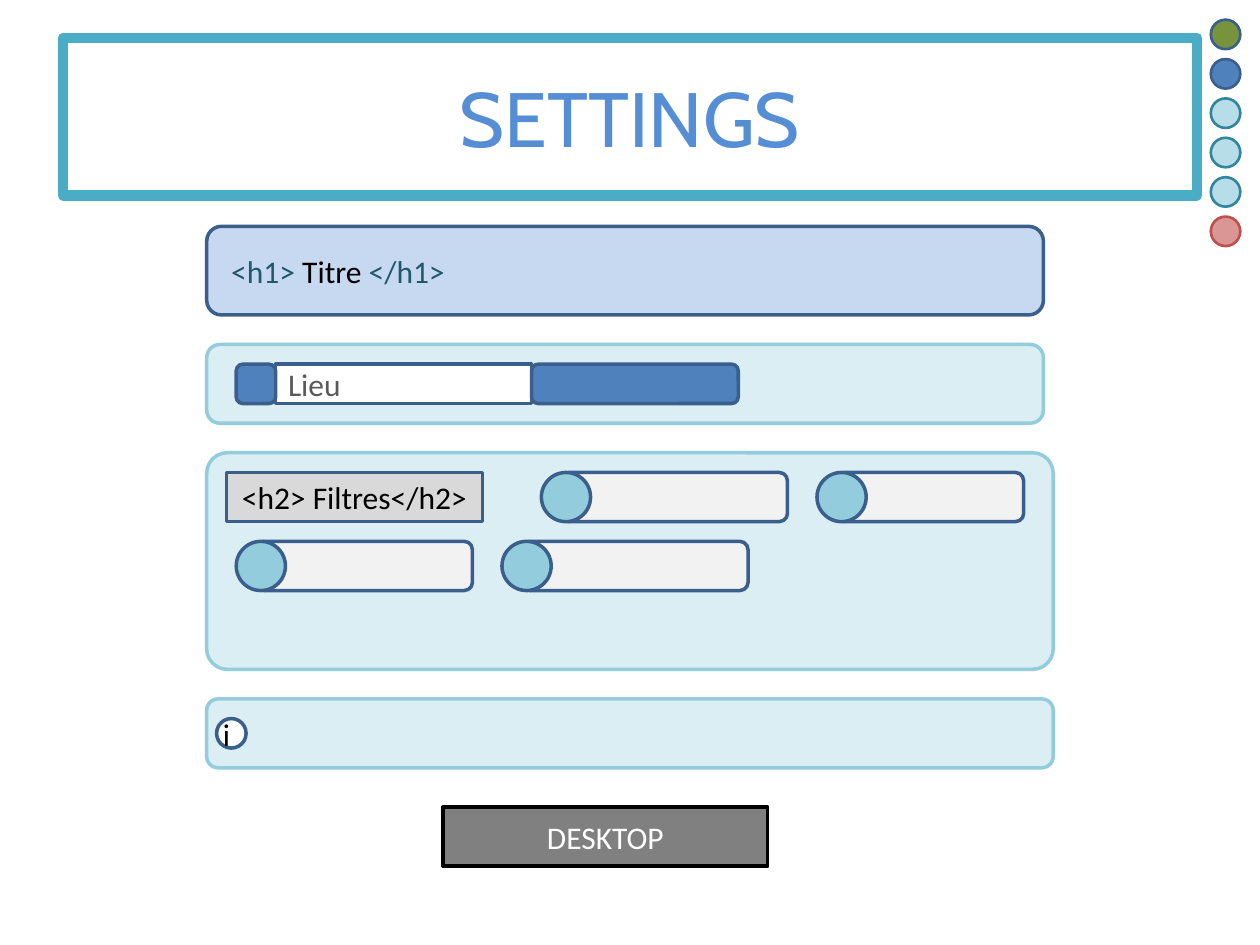
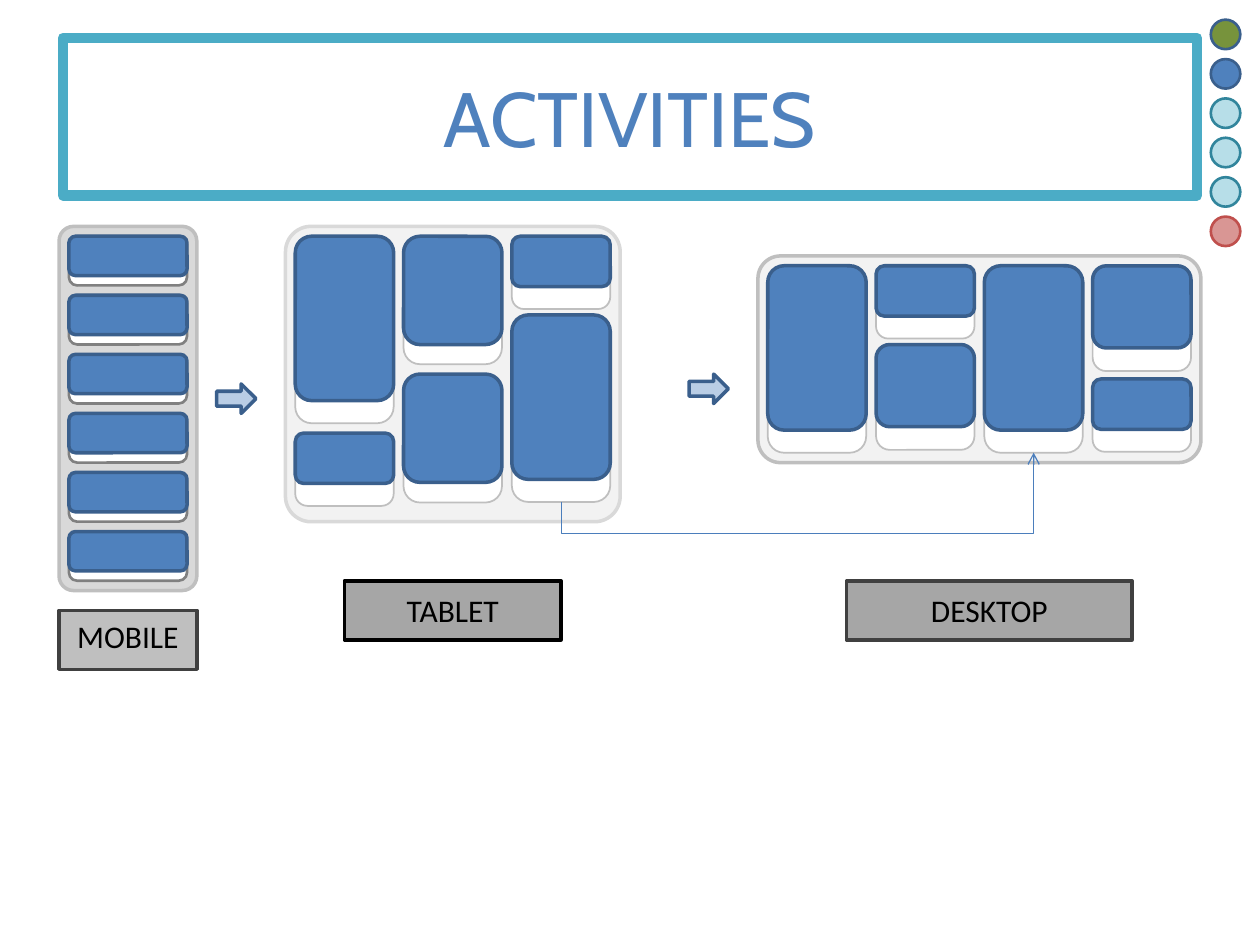
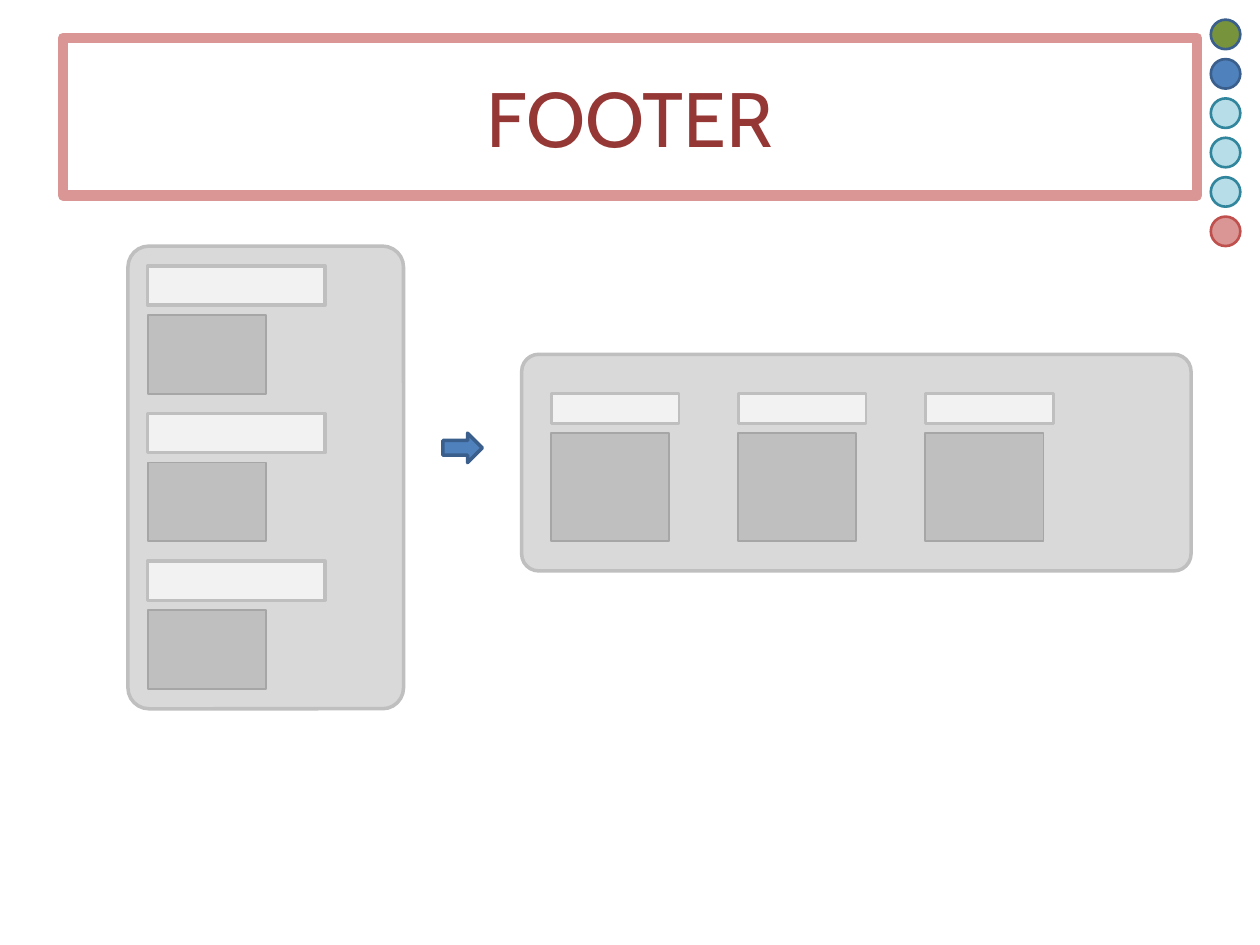
from typing import NamedTuple

from lxml.etree import SubElement
from pptx import Presentation
from pptx.dml.color import RGBColor
from pptx.enum.shapes import MSO_CONNECTOR, MSO_SHAPE
from pptx.enum.text import MSO_ANCHOR, PP_ALIGN
from pptx.oxml.ns import qn
from pptx.util import Inches, Pt

SLIDE_WIDTH, SLIDE_HEIGHT = Inches(10), Inches(7.5)
COLUMNS = 128
CELL = SLIDE_WIDTH / COLUMNS

WHITE = RGBColor(0xFF, 0xFF, 0xFF)
BLACK = RGBColor(0x00, 0x00, 0x00)
GREY_95 = RGBColor(0xF2, 0xF2, 0xF2)
GREY_85 = RGBColor(0xD9, 0xD9, 0xD9)
GREY_75 = RGBColor(0xBF, 0xBF, 0xBF)
GREY_65 = RGBColor(0xA6, 0xA6, 0xA6)
GREY_50 = RGBColor(0x80, 0x80, 0x80)
GREY_35 = RGBColor(0x59, 0x59, 0x59)
GREY_25 = RGBColor(0x40, 0x40, 0x40)
BLUE = RGBColor(0x4F, 0x81, 0xBD)
BLUE_EDGE = RGBColor(0x3A, 0x5F, 0x8C)
BLUE_LINK = RGBColor(0x4B, 0x7E, 0xBC)
BLUE_TITLE = RGBColor(0x55, 0x8E, 0xD5)
BLUE_PALE = RGBColor(0xC6, 0xD9, 0xF1)
BLUE_ARROW = RGBColor(0xB9, 0xCD, 0xE5)
AQUA = RGBColor(0x4B, 0xAC, 0xC6)
AQUA_DEEP = RGBColor(0x21, 0x59, 0x68)
AQUA_DARK = RGBColor(0x31, 0x85, 0x9C)
AQUA_MEDIUM = RGBColor(0x93, 0xCD, 0xDD)
AQUA_LIGHT = RGBColor(0xB7, 0xDE, 0xE8)
AQUA_PALE = RGBColor(0xDB, 0xEE, 0xF4)
GREEN = RGBColor(0x77, 0x93, 0x3C)
RED = RGBColor(0xC0, 0x50, 0x4D)
RED_DARK = RGBColor(0x95, 0x37, 0x35)
RED_LIGHT = RGBColor(0xD9, 0x96, 0x94)

RECTANGLE = MSO_SHAPE.RECTANGLE
ROUNDED = MSO_SHAPE.ROUNDED_RECTANGLE
OVAL = MSO_SHAPE.OVAL

NAVIGATION_DOTS = (
    (GREEN, BLUE_EDGE),
    (BLUE, BLUE_EDGE),
    (AQUA_LIGHT, AQUA_DARK),
    (AQUA_LIGHT, AQUA_DARK),
    (AQUA_LIGHT, AQUA_DARK),
    (RED_LIGHT, RED),
)


class Box(NamedTuple):
    """A rectangle measured in grid cells."""

    left: float
    top: float
    width: float
    height: float

    def inside(self, left, top, width, height):
        """Return a box whose place is counted from this one's corner."""
        return Box(self.left + left, self.top + top, width, height)


class Card(NamedTuple):
    """Height of a card's cover, and offset and height of its backing."""

    cover: float
    offset: float
    backing: float


SLIM = Card(4, 0, 5)
SMALL = Card(5.12, 0, 7.4)
MEDIUM = Card(8.35, 2.35, 8.35)
LARGE = Card(11, 2.35, 10.65)
LARGE_LOW = Card(11, 1.3, 11.75)
TALL = Card(16.7, 0, 19)


def cells(*counts):
    """Turn counts of grid cells into slide lengths."""
    return [round(count * CELL) for count in counts]


def draw(slide, kind, box, fill, edge, weight=2, corner=None):
    """Add a flat preset shape."""
    shape = slide.shapes.add_shape(kind, *cells(*box))
    shape.shadow.inherit = False
    shape.fill.solid()
    shape.fill.fore_color.rgb = fill
    shape.line.color.rgb = edge
    shape.line.width = Pt(weight)
    if corner is not None:
        shape.adjustments[0] = corner
    return shape


def write(shape, runs, align=PP_ALIGN.CENTER, anchor=MSO_ANCHOR.MIDDLE,
          size=18, font="Calibri"):
    """Write one paragraph of (text, colour) runs into a shape."""
    frame = shape.text_frame
    frame.word_wrap = True
    frame.vertical_anchor = anchor
    paragraph = frame.paragraphs[0]
    paragraph.alignment = align
    for text, colour in runs:
        run = paragraph.add_run()
        run.text = text
        run.font.size = Pt(size)
        run.font.name = font
        run.font.color.rgb = colour
    return frame


def add_base_slide(presentation, title, colour, edge):
    """Add a slide with its framed title and the navigation dots."""
    slide = presentation.slides.add_slide(presentation.slide_layouts[6])
    frame = draw(slide, RECTANGLE, Box(6.4, 3.84, 115.2, 16), WHITE, edge, 6)
    write(frame, [(title, colour)], size=44, font="Cabin")
    for index, (fill, dot_edge) in enumerate(NAVIGATION_DOTS):
        draw(slide, OVAL, Box(123, 2 + 4 * index, 3, 3), fill, dot_edge, 1.5)
    return slide


def add_label(slide, box, text, fill, edge, colour=BLACK,
              anchor=MSO_ANCHOR.MIDDLE):
    """Add a rectangular caption."""
    label = draw(slide, RECTANGLE, box, fill, edge)
    write(label, [(text, colour)], anchor=anchor)


def add_arrow(slide, left, top, fill=BLUE_ARROW):
    """Add a small block arrow between two layouts."""
    draw(slide, MSO_SHAPE.RIGHT_ARROW, Box(left, top, 4, 3), fill, BLUE_EDGE)


def add_heading(slide, box):
    """Add the heading band."""
    band = draw(slide, ROUNDED, box, BLUE_PALE, BLUE_EDGE)
    runs = [("<h1> ", AQUA_DEEP), ("Titre ", BLACK), ("</h1>", AQUA_DEEP)]
    frame = write(band, runs, PP_ALIGN.LEFT)
    frame.margin_left = Inches(0.16)


def add_search(slide, box):
    """Add the place search with its icon, field and button."""
    draw(slide, ROUNDED, box, AQUA_PALE, AQUA_MEDIUM)
    field = draw(slide, RECTANGLE, box.inside(7, 2, 26, 4), WHITE, BLUE_EDGE)
    write(field, [("Lieu", GREY_35)], PP_ALIGN.LEFT)
    for left, width in ((3, 4), (33, 21)):
        draw(slide, ROUNDED, box.inside(left, 2, width, 4), BLUE, BLUE_EDGE)


def add_filters(slide, box):
    """Add the filter panel with its caption and four filters."""
    draw(slide, ROUNDED, box, AQUA_PALE, AQUA_MEDIUM, corner=0.095)
    add_label(slide, box.inside(2, 2, 26, 5), "<h2> Filtres</h2>",
              GREY_85, BLUE_EDGE)
    for left, top, width in ((34, 2, 23), (62, 2, 19), (3, 9, 22), (30, 9, 23)):
        draw(slide, ROUNDED, box.inside(left + 2, top, width, 5),
             GREY_95, BLUE_EDGE)
        draw(slide, OVAL, box.inside(left, top, 5, 5), AQUA_MEDIUM, BLUE_EDGE)


def add_information(slide, box):
    """Add the information band with its round sign."""
    draw(slide, ROUNDED, box, AQUA_PALE, AQUA_MEDIUM)
    draw(slide, OVAL, box.inside(1, 2, 3, 3), WHITE, BLUE_EDGE)
    sign = slide.shapes.add_textbox(*cells(*box.inside(1, 1, 2, 5.12)))
    frame = write(sign, [("i", BLACK)], anchor=MSO_ANCHOR.TOP)
    frame.margin_left = frame.margin_right = 0


def add_card(slide, box, card, edge=GREY_75, weight=1):
    """Add a card: a white backing under a blue cover."""
    draw(slide, ROUNDED, box.inside(0, card.offset, box.width, card.backing),
         WHITE, edge, weight)
    draw(slide, ROUNDED, box.inside(0, 0, box.width, card.cover),
         BLUE, BLUE_EDGE)


def add_mobile(slide, box):
    """Add the single column of slim cards."""
    draw(slide, ROUNDED, box, GREY_85, GREY_75, corner=0.106)
    for row in range(6):
        add_card(slide, box.inside(1, 1 + 6 * row, 12, 5), SLIM, GREY_50, 1.5)


def add_card_panel(slide, box, edge, corner, columns):
    """Add a panel whose columns list (top, card) pairs."""
    draw(slide, ROUNDED, box, GREY_95, edge, corner=corner)
    for index, column in enumerate(columns):
        for top, card in column:
            place = box.inside(1 + 11 * index, top, 10, card.cover)
            add_card(slide, place, card)


def add_card_link(slide):
    """Link the last tablet card to its place on the desktop."""
    link = slide.shapes.add_connector(
        MSO_CONNECTOR.ELBOW, *cells(83.5, 72.5, 78.5, 24.5))
    link.line.color.rgb = BLUE_LINK
    link.line.width = Pt(0.75)
    properties = link.element.spPr
    properties.find(qn("a:xfrm")).set("rot", "5400000")
    adjustments = properties.find(qn("a:prstGeom")).find(qn("a:avLst"))
    SubElement(adjustments, qn("a:gd"), name="adj1", fmla="val -64000")
    SubElement(properties.find(qn("a:ln")), qn("a:tailEnd"), type="arrow")
    SubElement(properties, qn("a:effectLst"))


def add_footer_panel(slide, box, corner, start, step, heading, block, weight):
    """Add a footer panel with three headings, each above its block."""
    draw(slide, ROUNDED, box, GREY_85, GREY_75, corner=corner)
    for index in range(3):
        left, top = (first + index * move for first, move in zip(start, step))
        draw(slide, RECTANGLE, box.inside(left, top, *heading),
             GREY_95, GREY_75, weight)
        draw(slide, RECTANGLE, box.inside(left, top + heading[1] + 1, *block),
             GREY_75, GREY_65, 1)


def build_settings(presentation):
    """Build the settings slide."""
    slide = add_base_slide(presentation, "SETTINGS", BLUE_TITLE, AQUA)
    add_heading(slide, Box(21, 23, 85, 9))
    add_search(slide, Box(21, 35, 85, 8))
    add_filters(slide, Box(21, 46, 86, 22))
    add_information(slide, Box(21, 71, 86, 7))
    add_label(slide, Box(45, 82, 33, 6), "DESKTOP", GREY_50, BLACK, WHITE)


def build_activities(presentation):
    """Build the activities slide with its three layouts."""
    slide = add_base_slide(presentation, "ACTIVITIES", BLUE, AQUA)
    add_mobile(slide, Box(6, 23, 14, 37))
    add_arrow(slide, 22, 39)
    add_card_panel(slide, Box(29, 23, 34, 30), GREY_85, 0.086, (
        ((1, TALL), (21, SMALL)),
        ((1, LARGE), (15, LARGE_LOW)),
        ((1, SMALL), (9, TALL)),
    ))
    add_arrow(slide, 70, 38)
    add_card_panel(slide, Box(77, 26, 45, 21), GREY_75, 0.109, (
        ((1, TALL),),
        ((1, SMALL), (9, MEDIUM)),
        ((1, TALL),),
        ((1, MEDIUM), (12.5, SMALL)),
    ))
    add_label(slide, Box(6, 62, 14, 6), "MOBILE", GREY_75, GREY_25,
              anchor=MSO_ANCHOR.TOP)
    add_label(slide, Box(35, 59, 22, 6), "TABLET", GREY_65, BLACK)
    add_label(slide, Box(86, 59, 29, 6), "DESKTOP", GREY_65, GREY_25)
    add_card_link(slide)


def build_footer(presentation):
    """Build the footer slide with its narrow and wide layouts."""
    slide = add_base_slide(presentation, "FOOTER", RED_DARK, RED_LIGHT)
    add_footer_panel(slide, Box(13, 25, 28, 47), 0.076, start=(2, 2),
                     step=(0, 15), heading=(18, 4), block=(12, 8), weight=2)
    add_arrow(slide, 45, 44, BLUE)
    add_footer_panel(slide, Box(53, 36, 68, 22), 0.079, start=(3, 4),
                     step=(19, 0), heading=(13, 3), block=(12, 11), weight=1.5)


def main():
    """Build and save the presentation."""
    presentation = Presentation()
    presentation.slide_width = SLIDE_WIDTH
    presentation.slide_height = SLIDE_HEIGHT
    build_settings(presentation)
    build_activities(presentation)
    build_footer(presentation)
    presentation.save("out.pptx")


if __name__ == "__main__":
    main()
